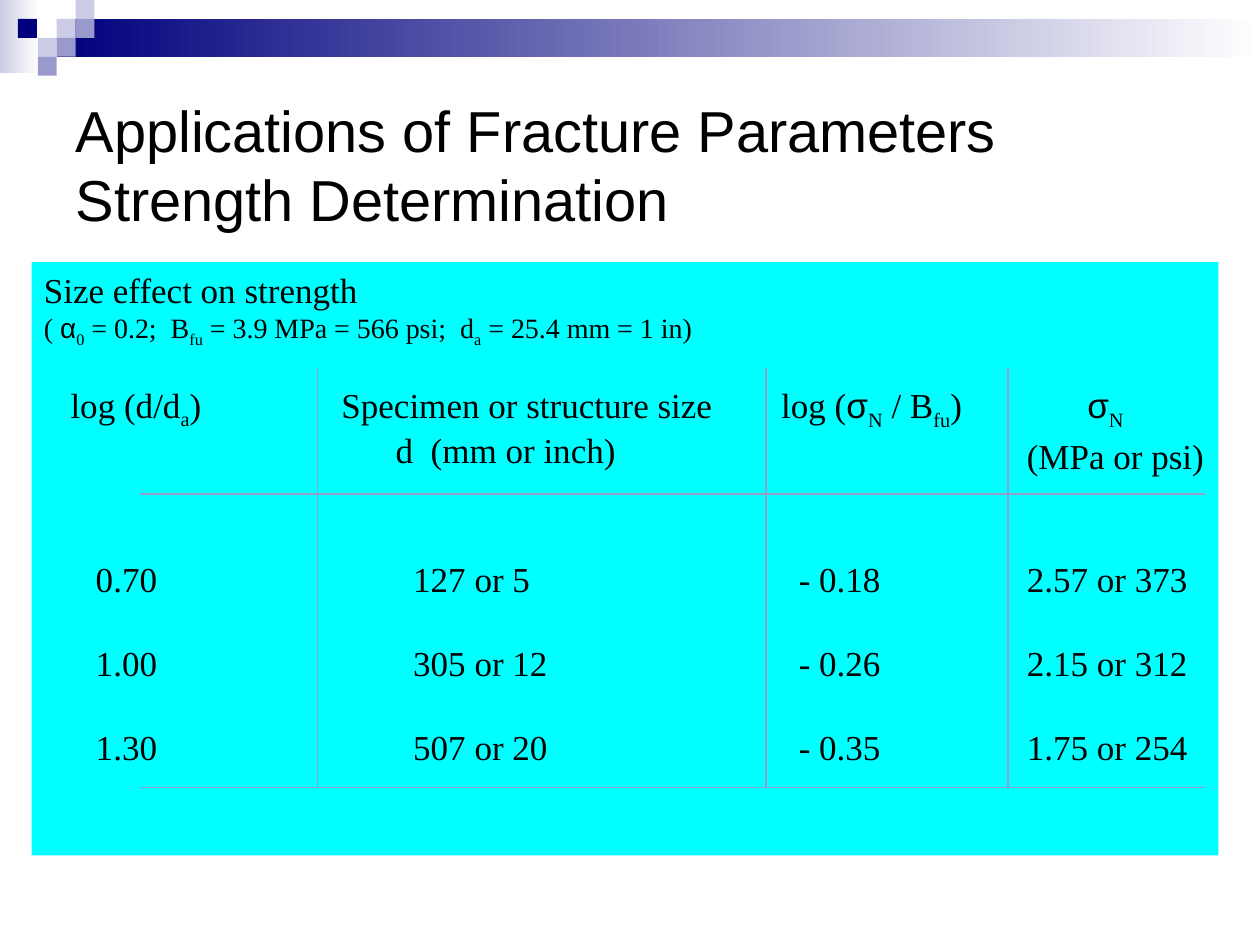
from lxml import etree
from pptx import Presentation
from pptx.dml.color import RGBColor
from pptx.enum.shapes import MSO_CONNECTOR, MSO_SHAPE
from pptx.enum.text import MSO_ANCHOR, MSO_AUTO_SIZE, PP_ALIGN
from pptx.oxml.ns import qn
from pptx.util import Inches, Pt

RECTANGLE = MSO_SHAPE.RECTANGLE
STRAIGHT = MSO_CONNECTOR.STRAIGHT
TOP, MIDDLE, BOTTOM = MSO_ANCHOR.TOP, MSO_ANCHOR.MIDDLE, MSO_ANCHOR.BOTTOM
LEFT = PP_ALIGN.LEFT
NO_AUTO_SIZE = MSO_AUTO_SIZE.NONE

COLORS = {"text": "000000", "panel": "00FFFF", "rule": "9999CC", "white": "FFFFFF",
          "navy": "00007D", "pale": "CCCCE6", "violet": "9999CC"}
SANS, SERIF = "Arial", "Times New Roman"
NO_STYLE_TABLE = "{2D5ABB26-0587-4C30-8999-92F81FD0307C}"
TITLE_ONLY = 5

# Kinds of run
PLAIN, SUB, GREEK = "plain", "sub", "greek"

SQUARE = 0.15
SQUARES = [  # column, row, color
    (3, 1, "pale"), (4, 0, "pale"), (4, 1, "violet"), (2, 2, "pale"),
    (0.95, 1, "navy"), (3, 2, "violet"), (2, 3, "violet")]

HEADING = [("Size effect on strength", PLAIN)]
CONDITIONS = [
    ("( ", PLAIN), ("α", GREEK), ("0", SUB), (" = 0.2;  B", PLAIN), ("fu", SUB),
    (" = 3.9 MPa = 566 psi;  d", PLAIN), ("a", SUB), (" = 25.4 mm = 1 in)", PLAIN)]

COLUMN_EDGES = [0.25, 2.52, 6.08, 8, 9.67]
TABLE_TOP, HEADER_RULE, TABLE_BOTTOM = 2.92, 3.92, 6.25
HEADER_HEIGHT, ROW_HEIGHT = 1.35, 0.67
RULE_LEFT, RULE_RIGHT = 1.11, 9.56

# Each header cell is a list of (indent, runs) lines
HEADERS = [
    [(0.31, [("log (d/d", PLAIN), ("a", SUB), (")", PLAIN)])],
    [(0.19, [("Specimen or structure size", PLAIN)]),
     (0.62, [("d  (mm or inch)", PLAIN)])],
    [(0.12, [("log (", PLAIN), ("σ", GREEK), ("N", SUB), (" / B", PLAIN),
             ("fu", SUB), (")", PLAIN)])],
    [(0.63, [("σ", GREEK), ("N", SUB)]), (0.15, [("(MPa or psi)", PLAIN)])],
]
VALUE_INDENTS = [0.51, 0.76, 0.26, 0.15]
VALUES = [
    ["0.70", "127 or 5", "- 0.18", "2.57 or 373"],
    ["1.00", "305 or 12", "- 0.26", "2.15 or 312"],
    ["1.30", "507 or 20", "- 0.35", "1.75 or 254"],
]


def rgb(name):
    return RGBColor.from_string(COLORS[name])


class SlideBuilder:
    def __init__(self, presentation):
        self.slide = presentation.slides.add_slide(presentation.slide_layouts[TITLE_ONLY])

    def add_runs(self, paragraph, runs, size, indent=0):
        paragraph.alignment = LEFT
        paragraph._p.get_or_add_pPr().set("marL", str(Inches(indent)))
        for text, kind in runs:
            run = paragraph.add_run()
            run.text = text
            run.font.size = Pt(size)
            run.font.name = SANS if kind == GREEK else SERIF
            run.font.color.rgb = rgb("text")
            if kind == SUB:
                run.font._element.set("baseline", "-25000")

    def title(self, lines, left, top, width, height):
        title = self.slide.shapes.title
        title.left, title.top = Inches(left), Inches(top)
        title.width, title.height = Inches(width), Inches(height)
        frame = title.text_frame
        frame.auto_size = NO_AUTO_SIZE
        frame.vertical_anchor = BOTTOM
        paragraph = frame.paragraphs[0]
        paragraph.alignment = LEFT
        for index, line in enumerate(lines):
            if index:
                paragraph.add_line_break()
            run = paragraph.add_run()
            run.text = line
            run.font.name, run.font.size = SANS, Pt(33)
            run.font.color.rgb = rgb("text")

    def rectangle(self, left, top, width, height, color, fade=False):
        """Add a plain rectangle; fade runs its color to white on the right."""
        shape = self.slide.shapes.add_shape(
            RECTANGLE, Inches(left), Inches(top), Inches(width), Inches(height))
        shape.shadow.inherit = False
        shape.line.fill.background()
        if fade:
            shape.fill.gradient()
            shape.fill.gradient_angle = 0
            for stop, name in zip(shape.fill.gradient_stops, (color, "white")):
                stop.color.rgb = rgb(name)
        else:
            shape.fill.solid()
            shape.fill.fore_color.rgb = rgb(color)
        return shape

    def panel(self, left, top, width, height):
        frame = self.rectangle(left, top, width, height, "panel").text_frame
        frame.word_wrap = True
        frame.vertical_anchor = TOP
        self.add_runs(frame.paragraphs[0], HEADING, 20)
        self.add_runs(frame.add_paragraph(), CONDITIONS, 16)

    def cell(self, cell, lines, anchor, margin_top=0):
        cell.fill.background()
        cell.vertical_anchor = anchor
        cell.margin_left = cell.margin_right = cell.margin_bottom = 0
        cell.margin_top = Inches(margin_top)
        frame = cell.text_frame
        for index, (indent, runs) in enumerate(lines):
            paragraph = frame.add_paragraph() if index else frame.paragraphs[0]
            if index:
                paragraph.space_before = Pt(4)
            self.add_runs(paragraph, runs, 20, indent)

    def table(self):
        left, right = COLUMN_EDGES[0], COLUMN_EDGES[-1]
        height = HEADER_HEIGHT + ROW_HEIGHT * len(VALUES)
        table = self.slide.shapes.add_table(
            len(VALUES) + 1, len(HEADERS), Inches(left), Inches(TABLE_TOP),
            Inches(right - left), Inches(height)).table
        table.first_row = table.horz_banding = False
        table._tbl.tblPr.find(qn("a:tableStyleId")).text = NO_STYLE_TABLE
        for column, start, end in zip(table.columns, COLUMN_EDGES, COLUMN_EDGES[1:]):
            column.width = Inches(end - start)
        for index, row in enumerate(table.rows):
            row.height = Inches(ROW_HEIGHT if index else HEADER_HEIGHT)
        for column, lines in enumerate(HEADERS):
            self.cell(table.cell(0, column), lines, TOP, margin_top=0.15)
        for row, values in enumerate(VALUES, 1):
            for column, (value, indent) in enumerate(zip(values, VALUE_INDENTS)):
                self.cell(table.cell(row, column), [(indent, [(value, PLAIN)])], MIDDLE)

    def rule(self, start_x, start_y, end_x, end_y):
        line = self.slide.shapes.add_connector(
            STRAIGHT, Inches(start_x), Inches(start_y), Inches(end_x), Inches(end_y))
        line.line.color.rgb = rgb("rule")
        line.line.width = Pt(1)
        etree.SubElement(line._element.spPr, qn("a:effectLst"))


def main():
    presentation = Presentation()
    presentation.slide_width, presentation.slide_height = Inches(10), Inches(7.5)
    builder = SlideBuilder(presentation)

    builder.rectangle(0, 0, 0.31, 0.58, "pale", fade=True)
    builder.rectangle(0.45, 0.15, 9.55, 0.3, "navy", fade=True)
    for column, row, color in SQUARES:
        builder.rectangle(column * SQUARE, row * SQUARE, SQUARE, SQUARE, color)

    builder.title(["Applications of Fracture Parameters", "Strength Determination"],
                  0.5, 1, 9, 0.9)
    builder.panel(0.25, 2.08, 9.42, 4.71)
    builder.table()
    for x in COLUMN_EDGES[1:-1]:
        builder.rule(x, TABLE_TOP, x, TABLE_BOTTOM)
    for y in (TABLE_BOTTOM, HEADER_RULE):
        builder.rule(RULE_LEFT, y, RULE_RIGHT, y)

    presentation.save("out.pptx")


if __name__ == "__main__":
    main()
